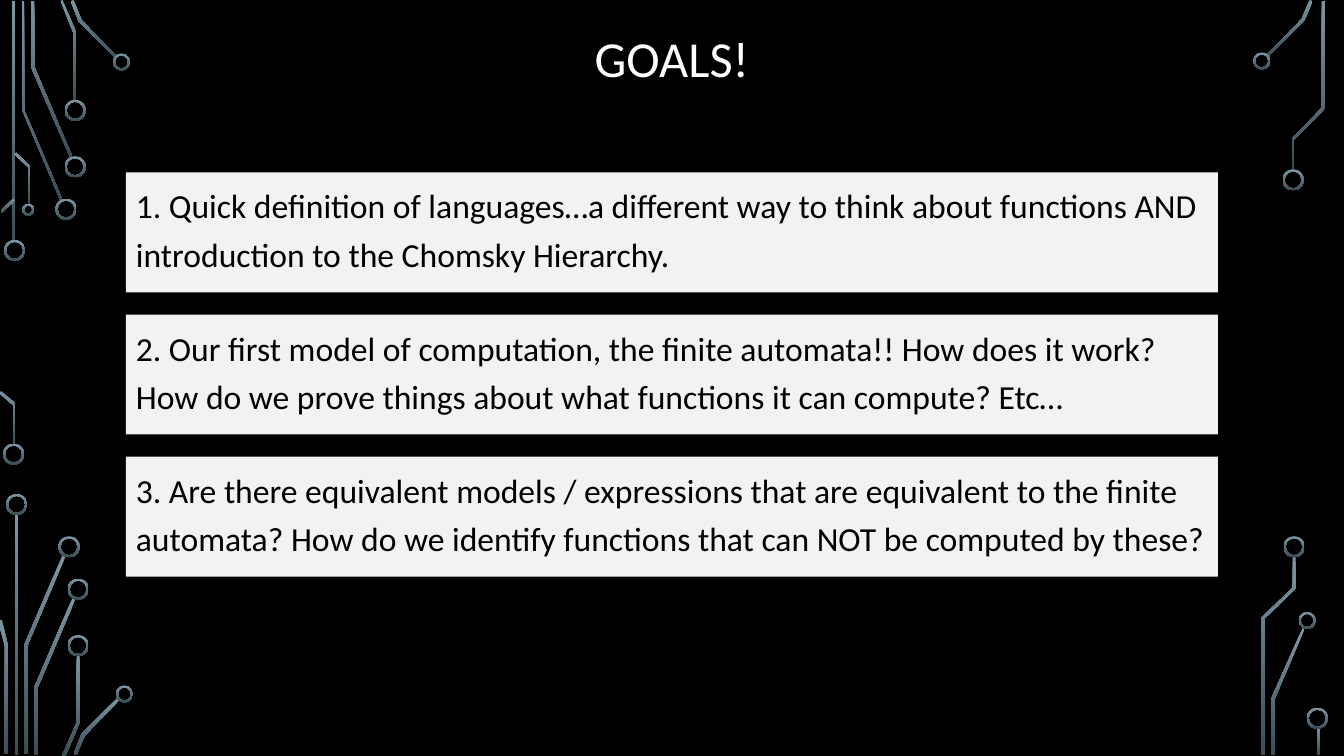
from dataclasses import dataclass

from pptx import Presentation
from pptx import util as u
from pptx.dml.color import RGBColor
from pptx.enum import shapes, text

PX = 9144
RING_WIDTH = 2
RAIL_WIDTH = 3
CONTENT_LEFT, CONTENT_WIDTH = 125, 1083
GOAL_TOP, GOAL_HEIGHT, GOAL_STEP = 171, 119, 141


@dataclass(frozen=True)
class Rail:
    left: int
    top: int
    height: int


@dataclass(frozen=True)
class Ring:
    left: int
    top: int
    size: int = 21


@dataclass(frozen=True)
class Trace:
    points: tuple[tuple[int, int], ...]


RAILS = [Rail(12, 1, 239), Rail(15, 510, 239), Rail(1306, 721, 28)]

RINGS = [
    Ring(4, 238), Ring(3, 440), Ring(55, 197), Ring(64, 155), Ring(64, 99),
    Ring(112, 53, 17), Ring(22, 202, 12),
    Ring(6, 490), Ring(58, 532), Ring(67, 574), Ring(67, 630), Ring(115, 680, 17),
    Ring(1243, 52, 17), Ring(1272, 168),
    Ring(1288, 607, 17), Ring(1273, 532), Ring(1296, 702),
]

TRACES = [
    Trace(((60, 199), (22, 109), (22, 1), (24, 1), (24, 109), (62, 198))),
    Trace(((70, 157), (31, 67), (31, 1), (34, 1), (34, 66), (72, 156))),
    Trace(((76, 100), (73, 100), (73, 33), (60, 1), (62, 0), (76, 33))),
    Trace(((115, 58), (78, 21), (70, 1), (73, 0), (81, 20), (116, 56))),
    Trace(((2, 211), (1, 209), (13, 197), (15, 199))),
    Trace(((15, 441), (13, 441), (13, 402), (-1, 390), (1, 388), (15, 400))),
    Trace(((30, 203), (28, 203), (28, 166), (14, 153), (16, 151), (30, 165))),
    Trace(((27, 748), (24, 748), (24, 640), (62, 551), (65, 552), (27, 641))),
    Trace(((8, 748), (5, 748), (5, 641), (-2, 616), (2, 615), (8, 641))),
    Trace(((37, 749), (34, 749), (34, 682), (72, 593), (75, 594), (37, 683))),
    Trace(((65, 750), (62, 749), (76, 717), (76, 650), (79, 650), (79, 717))),
    Trace(((76, 749), (73, 748), (81, 728), (117, 692), (119, 694), (84, 730))),
    Trace(((1258, 56), (1256, 55), (1291, 19), (1299, 0), (1302, 1), (1294, 20))),
    Trace(((1264, 749), (1261, 749), (1261, 693), (1292, 623), (1294, 624), (1264, 694))),
    Trace(((1283, 169), (1281, 169), (1281, 138), (1311, 107),
           (1311, 1), (1314, 1), (1314, 108), (1283, 139))),
    Trace(((1254, 749), (1251, 749), (1251, 613), (1282, 583),
           (1282, 552), (1285, 552), (1285, 584), (1254, 614))),
]

GOALS = [
    "1. Quick definition of languages…a different way to think about functions AND introduction to the Chomsky Hierarchy.",
    "2. Our first model of computation, the finite automata!! How does it work? How do we prove things about what functions it can compute? Etc…",
    "3. Are there equivalent models / expressions that are equivalent to the finite automata? How do we identify functions that can NOT be computed by these?",
]


def px(length: int) -> u.Emu:
    return u.Emu(length * PX)


def colour(value: str) -> RGBColor:
    return RGBColor.from_string(value)


def add_preset(page, kind, left: int, top: int, width: int, height: int):
    shape = page.shapes.add_shape(kind, px(left), px(top), px(width), px(height))
    shape.shadow.inherit = False
    shape.line.fill.background()
    return shape


def paint_circuit(shape) -> None:
    shape.shadow.inherit = False
    shape.line.fill.background()
    shape.fill.gradient()
    shape.fill.gradient_angle = 270
    for stop, value in zip(shape.fill.gradient_stops, ("7C96A3", "3B4C54")):
        stop.color.rgb = colour(value)


def draw_rail(page, rail: Rail) -> None:
    paint_circuit(add_preset(page, shapes.MSO_SHAPE.RECTANGLE,
                             rail.left, rail.top, RAIL_WIDTH, rail.height))


def draw_ring(page, ring: Ring) -> None:
    shape = add_preset(page, shapes.MSO_SHAPE.DONUT,
                       ring.left, ring.top, ring.size, ring.size)
    shape.adjustments[0] = RING_WIDTH / ring.size
    paint_circuit(shape)


def draw_trace(page, trace: Trace) -> None:
    start, *rest = trace.points
    builder = page.shapes.build_freeform(*start, scale=PX)
    builder.add_line_segments(rest, close=True)
    paint_circuit(builder.convert_to_shape())


def write(box, words: str, size: int, value: str, align, spacing: float, anchor) -> None:
    frame = box.text_frame
    frame.word_wrap = True
    frame.vertical_anchor = anchor
    para = frame.paragraphs[0]
    para.alignment = align
    para.line_spacing = spacing
    span = para.add_run()
    span.text = words
    span.font.name = "Calibri"
    span.font.size = u.Pt(size)
    span.font.color.rgb = colour(value)


def draw_goal(page, index: int, words: str) -> None:
    box = add_preset(page, shapes.MSO_SHAPE.RECTANGLE, CONTENT_LEFT,
                     GOAL_TOP + index * GOAL_STEP, CONTENT_WIDTH, GOAL_HEIGHT)
    box.fill.solid()
    box.fill.fore_color.rgb = colour("F2F2F2")
    write(box, words, 24, "000000", text.PP_ALIGN.LEFT, 1.2, text.MSO_ANCHOR.TOP)


def main() -> None:
    deck = Presentation()
    deck.slide_width, deck.slide_height = px(1333), px(750)
    page = deck.slides.add_slide(deck.slide_layouts[6])
    page.background.fill.solid()
    page.background.fill.fore_color.rgb = colour("000000")

    for rail in RAILS:
        draw_rail(page, rail)
    for trace in TRACES:
        draw_trace(page, trace)
    for ring in RINGS:
        draw_ring(page, ring)

    title = page.shapes.add_textbox(px(CONTENT_LEFT), px(14), px(CONTENT_WIDTH), px(94))
    write(title, "GOALS!", 36, "FFFFFF", text.PP_ALIGN.CENTER, 0.9, text.MSO_ANCHOR.MIDDLE)
    for index, words in enumerate(GOALS):
        draw_goal(page, index, words)

    deck.save("out.pptx")


if __name__ == "__main__":
    main()
